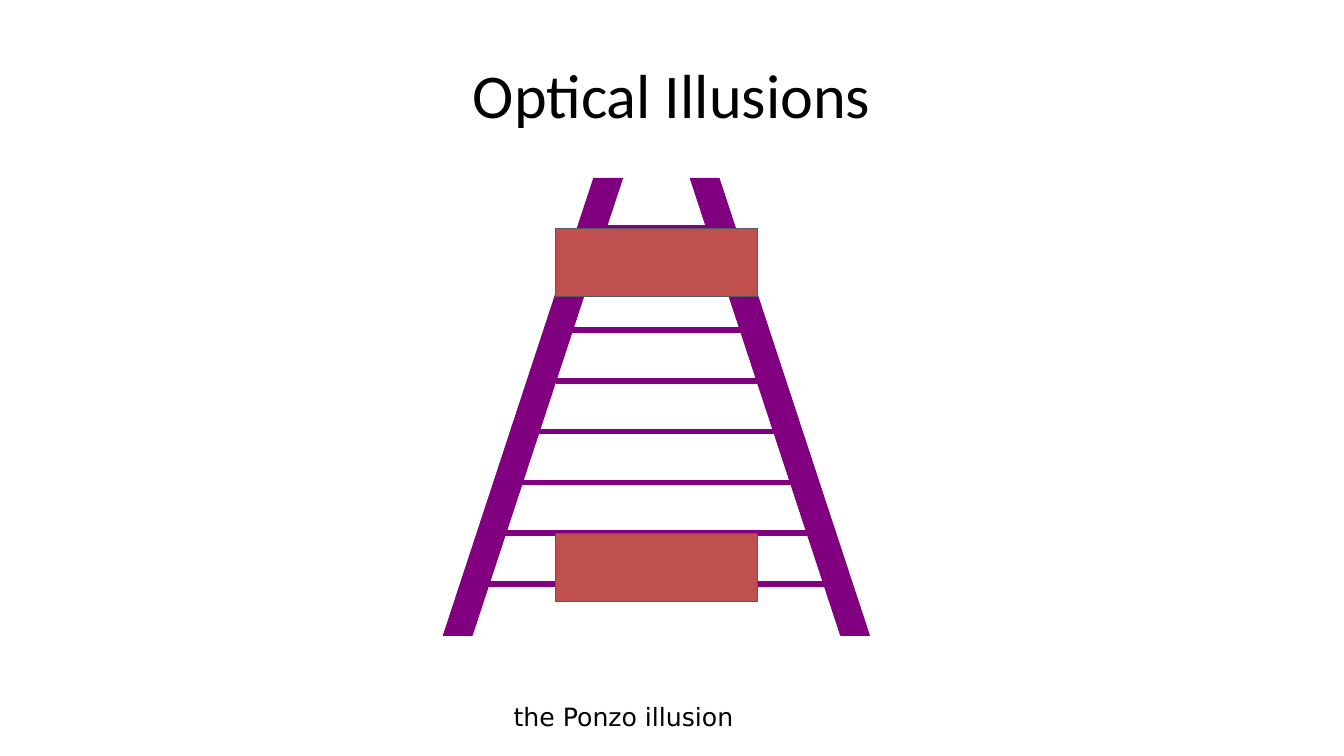
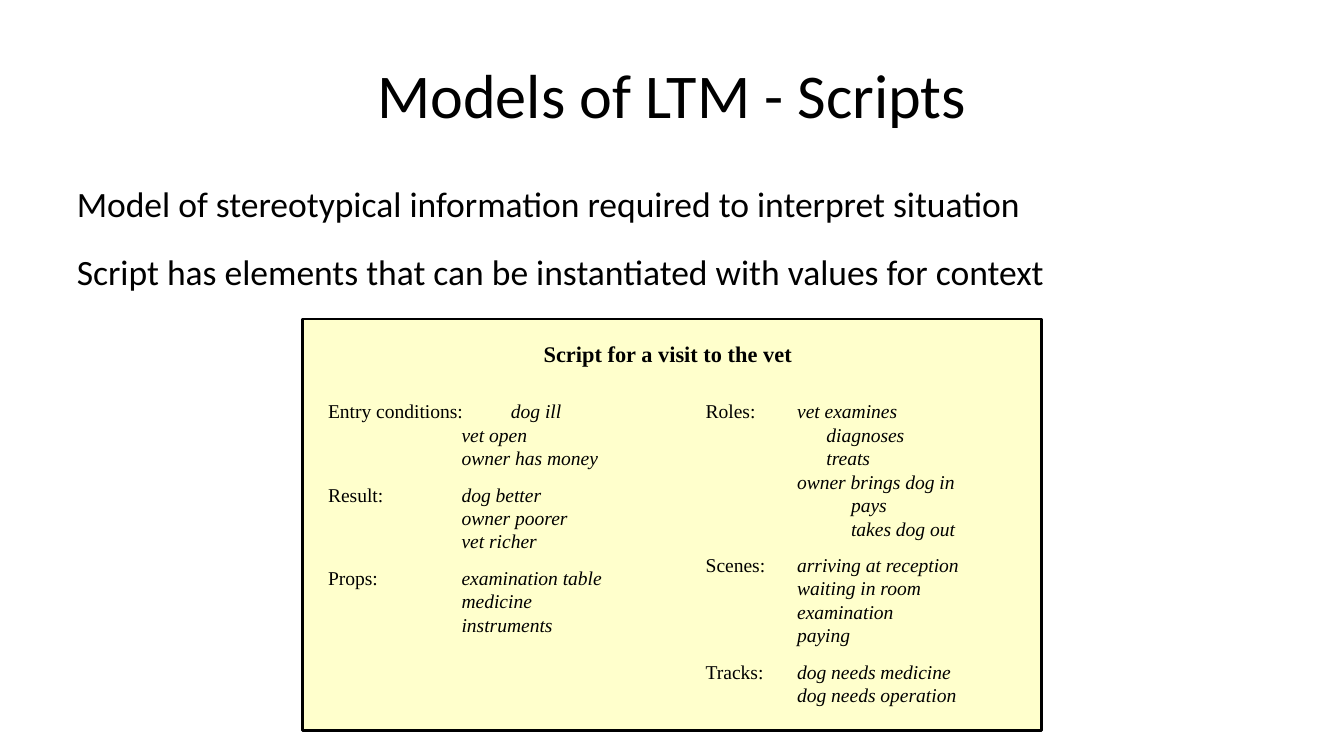
from lxml.etree import SubElement
from pptx import Presentation
from pptx.dml.color import RGBColor
from pptx.enum.shapes import MSO_CONNECTOR, MSO_SHAPE
from pptx.enum.text import MSO_ANCHOR, MSO_AUTO_SIZE, PP_ALIGN
from pptx.oxml.ns import qn
from pptx.util import Inches, Pt

BLACK = RGBColor(0x00, 0x00, 0x00)
PURPLE = RGBColor(0x80, 0x00, 0x80)
BRICK = RGBColor(0xC0, 0x50, 0x4D)
SLATE = RGBColor(0x55, 0x5A, 0x5E)
CREAM = RGBColor(0xFF, 0xFF, 0xCC)
SANS, CAPTION_FONT, SERIF = "Calibri", "DejaVu Sans", "Times New Roman"

TITLE_AREA = (0.73, 0.33, 13.23, 1.38)
BODY_AREA = (0.73, 1.93, 13.23, 5.46)

RAIL_LEFTS = (4.85, 7.55)
RUNG_LEVELS = {0: 0, 1: 1, 2: 2, 3: 3, 4: 4, 5: 4, 7: 6}
RUNG_BOTTOM, RUNG_GAP, RUNG_INSET = 6.39, 0.556, 0.2475
BAR_TOPS = (5.84, 2.5)

LTM_POINTS = (
    "Model of stereotypical information required to interpret situation",
    "Script has elements that can be instantiated with values for context",
)
CONDITIONS = (
    ("Entry conditions:", (("dog ill", 0.54), ("vet open", 0), ("owner has money", 0))),
    ("Result:", (("dog better", 0), ("owner poorer", 0), ("vet richer", 0))),
    ("Props:", (("examination table", 0), ("medicine", 0), ("instruments", 0))),
)
ACTIONS = (
    ("Roles:", (("vet examines", 0), ("diagnoses", 0.32), ("treats", 0.32),
                ("owner brings dog in", 0), ("pays", 0.59), ("takes dog out", 0.59))),
    ("Scenes:", (("arriving at reception", 0), ("waiting in room", 0),
                 ("examination", 0), ("paying", 0))),
    ("Tracks:", (("dog needs medicine", 0), ("dog needs operation", 0))),
)


def inches(area):
    return [Inches(length) for length in area]


def write(paragraph, text, size, font=SANS, bold=False, italic=False,
          align=PP_ALIGN.LEFT, before=0):
    paragraph.alignment = align
    paragraph.space_before = Pt(before)
    run = paragraph.add_run()
    run.text = text
    run.font.name = font
    run.font.size = Pt(size)
    run.font.bold = bold
    run.font.italic = italic
    run.font.color.rgb = BLACK


def next_paragraph(frame, first):
    return frame.paragraphs[0] if first else frame.add_paragraph()


def place(placeholder, area, anchor):
    placeholder.left, placeholder.top, placeholder.width, placeholder.height = inches(area)
    frame = placeholder.text_frame
    frame.margin_left = frame.margin_right = Inches(0.11)
    frame.margin_top = frame.margin_bottom = Inches(0.06)
    frame.vertical_anchor = anchor
    frame.auto_size = MSO_AUTO_SIZE.NONE
    return frame


def add_titled_slide(deck, layout, title):
    slide = deck.slides.add_slide(deck.slide_layouts.get_by_name(layout))
    frame = place(slide.shapes.title, TITLE_AREA, MSO_ANCHOR.MIDDLE)
    write(frame.paragraphs[0], title, 49, align=PP_ALIGN.CENTER)
    return slide


def add_block(shapes, area, fill, line=None, weight=0.75, preset=MSO_SHAPE.RECTANGLE):
    block = shapes.add_shape(preset, *inches(area))
    block.shadow.inherit = False
    block.fill.solid()
    block.fill.fore_color.rgb = fill
    if line is None:
        block.line.fill.background()
    else:
        block.line.color.rgb = line
        block.line.width = Pt(weight)
    block.text_frame.word_wrap = True
    block.text_frame.vertical_anchor = MSO_ANCHOR.TOP
    return block


def add_rung(shapes, left, right, y):
    rung = shapes.add_connector(MSO_CONNECTOR.STRAIGHT, *inches((left, y, right, y)))
    rung.line.color.rgb = PURPLE
    rung.line.width = Pt(4.5)
    SubElement(rung._element.spPr, qn("a:effectLst"))


def add_ladder(shapes):
    for left in RAIL_LEFTS:
        rail = add_block(shapes, (left, 1.95, 1.96, 5), PURPLE, PURPLE,
                         preset=MSO_SHAPE.PARALLELOGRAM)
        rail.adjustments[0] = 0.839
    rail._element.spPr.xfrm.set("flipH", "1")
    for step, level in RUNG_LEVELS.items():
        add_rung(shapes, 5.09 + level * RUNG_INSET, 9.27 - max(level, 1) * RUNG_INSET,
                 RUNG_BOTTOM - step * RUNG_GAP)
    for top in BAR_TOPS:
        add_block(shapes, (6.08, top, 2.21, 0.74), BRICK, SLATE)


def add_caption(shapes, text, area):
    frame = shapes.add_textbox(*inches(area)).text_frame
    frame.word_wrap = False
    write(frame.paragraphs[0], text, 19.8, font=CAPTION_FONT)


def add_points(placeholder, points):
    frame = place(placeholder, BODY_AREA, MSO_ANCHOR.TOP)
    for index, point in enumerate(points):
        paragraph = next_paragraph(frame, index == 0)
        write(paragraph, point, 28, before=20 if index else 0)
        properties = paragraph._p.get_or_add_pPr()
        properties.set("marL", "0")
        properties.set("indent", "0")
        SubElement(properties, qn("a:buNone"))


def add_entries(shapes, area, entries, value_column):
    frame = add_block(shapes, area, CREAM).text_frame
    for group, (label, values) in enumerate(entries):
        for row, (value, shift) in enumerate(values):
            paragraph = next_paragraph(frame, group == row == 0)
            before = 10 if group and row == 0 else 0
            position = str(Inches(value_column + shift))
            if row == 0:
                write(paragraph, label + "\t", 15.4, font=SERIF)
            write(paragraph, value, 15.4, font=SERIF, italic=True, before=before)
            properties = paragraph._p.get_or_add_pPr()
            if row == 0:
                stops = SubElement(properties, qn("a:tabLst"))
                SubElement(stops, qn("a:tab"), pos=position, algn="l")
            else:
                properties.set("marL", position)


def add_script_card(shapes):
    add_block(shapes, (3.31, 3.49, 8.08, 4.5), CREAM, BLACK, 2.25)
    heading = add_block(shapes, (5.79, 3.67, 3.03, 0.4), CREAM).text_frame
    write(heading.paragraphs[0], "Script for a visit to the vet", 17.6,
          font=SERIF, bold=True, align=PP_ALIGN.CENTER)
    add_entries(shapes, (3.49, 4.32, 3.58, 2.73), CONDITIONS, 1.46)
    add_entries(shapes, (7.62, 4.32, 3.01, 3.51), ACTIONS, 1)


def main():
    deck = Presentation()
    deck.slide_width, deck.slide_height = Inches(14.7), Inches(8.27)

    illusions = add_titled_slide(deck, "Title Only", "Optical Illusions")
    add_ladder(illusions.shapes.add_group_shape().shapes)
    add_caption(illusions.shapes, "the Ponzo illusion", (5.52, 7.62, 2.64, 0.43))

    scripts = add_titled_slide(deck, "Title and Content", "Models of LTM - Scripts")
    add_points(scripts.placeholders[1], LTM_POINTS)
    add_script_card(scripts.shapes.add_group_shape().shapes)

    deck.save("out.pptx")


if __name__ == "__main__":
    main()
